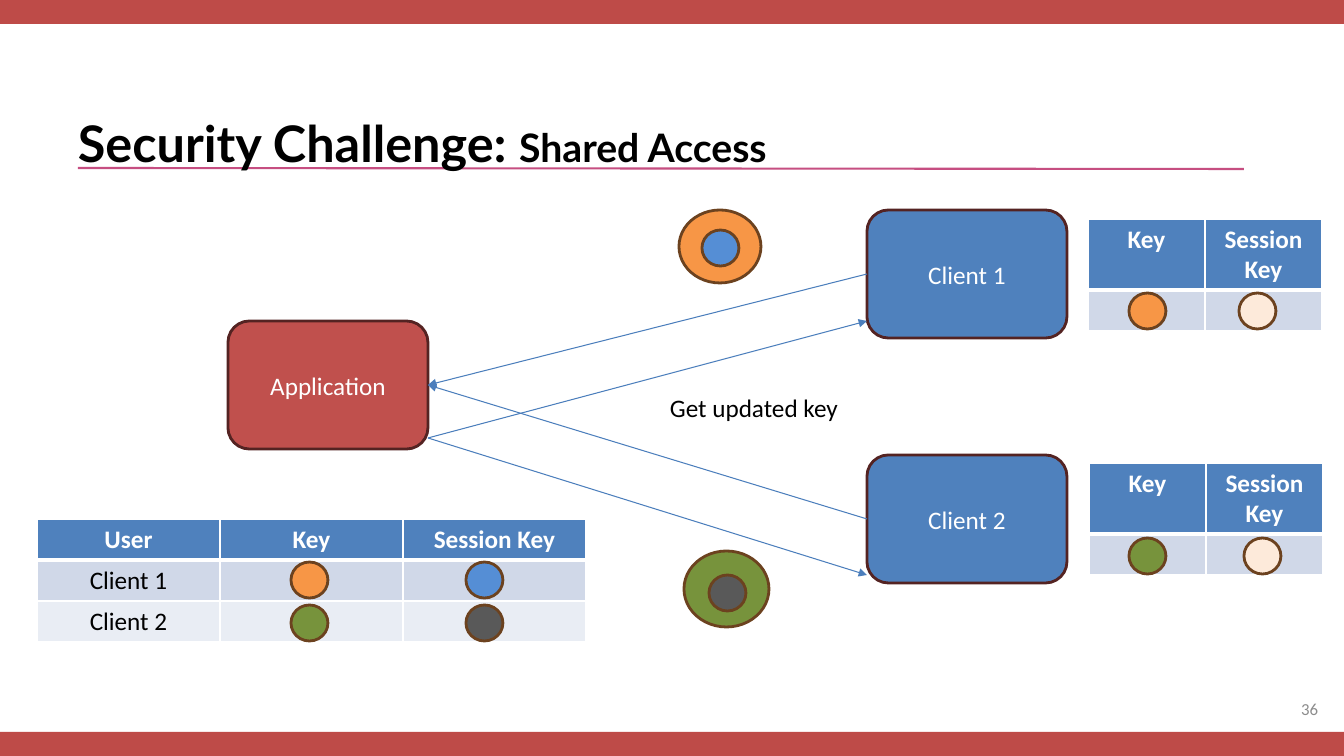
from dataclasses import dataclass

from lxml import etree
from pptx import Presentation
from pptx import util as u
from pptx.dml import color
from pptx.enum import shapes, text
from pptx.oxml import ns

EMU_PER_PX = 914400 / 100.8
COLORS = {
    "white": "FFFFFF", "black": "000000", "gray": "8C8C8C", "band": "BE4B48",
    "rule": "C64E81", "arrow": "4B7EBC", "red": "C0504D", "blue": "4F81BD",
    "box_edge": "542322", "key_edge": "6C421F", "orange": "F79646",
    "green": "77933C", "sky": "558ED5", "charcoal": "595959",
    "cream": "FDEADA", "row_odd": "D0D8E8", "row_even": "E9EDF4",
}
BODY = {"name": "Calibri", "size": u.Pt(18), "bold": False}
HEADER = BODY | {"bold": True}
TITLE = {"name": "Lato", "size": u.Pt(36), "bold": True}
SUBTITLE = TITLE | {"size": u.Pt(28)}
PAGE = BODY | {"size": u.Pt(12)}
SHAPE = shapes.MSO_SHAPE
ALIGN = text.PP_ALIGN
MIDDLE = text.MSO_ANCHOR.MIDDLE


@dataclass
class Box:
    x: int
    y: int
    label: str
    fill: str
    w: int = 200
    h: int = 128


@dataclass
class Key:
    x: int
    y: int
    fill: str
    w: int = 37
    h: int = 36


@dataclass
class KeyTable:
    x: int
    y: int
    col_width: int
    row_heights: list[int]
    rows: list[list[str]]


APPLICATION = Box(228, 321, "Application", "red")
CLIENT_1 = Box(867, 210, "Client 1", "blue")
CLIENT_2 = Box(867, 455, "Client 2", "blue")
CLIENT_ROWS = [["Key", "Session Key"], ["", ""]]
USER_TABLE = KeyTable(37, 519, 183, [41, 41, 41], [
    ["User", "Key", "Session Key"], ["Client 1", "", ""], ["Client 2", "", ""]])
CLIENT_TABLES = [KeyTable(1088, 219, 117, [71, 41], CLIENT_ROWS),
                 KeyTable(1089, 463, 117, [71, 41], CLIENT_ROWS)]
STORED_KEYS = [
    Key(291, 562, "orange"), Key(466, 562, "sky"),
    Key(291, 605, "green"), Key(466, 605, "charcoal"),
    Key(1129, 293, "orange"), Key(1239, 293, "cream"),
    Key(1129, 538, "green"), Key(1244, 538, "cream"),
]
WRAPPED_KEYS = [
    Key(679, 210, "orange", 82, 73), Key(702, 230, "sky"),
    Key(684, 551, "green", 85, 76), Key(709, 575, "charcoal"),
]


def px(length: int) -> u.Emu:
    return u.Emu(round(length * EMU_PER_PX))


def rgb(name: str) -> color.RGBColor:
    return color.RGBColor.from_string(COLORS[name])


def set_values(target, values: dict) -> None:
    for attribute, value in values.items():
        setattr(target, attribute, value)


def write(paragraph, words: str, font: dict, ink: str) -> None:
    run = paragraph.add_run()
    run.text = words
    set_values(run.font, font)
    run.font.color.rgb = rgb(ink)


def add_filled(slide, kind, x: int, y: int, w: int, h: int, fill: str, edge: str = ""):
    """Add a flat preset shape, outlined only when an edge colour is given."""
    shape = slide.shapes.add_shape(kind, px(x), px(y), px(w), px(h))
    shape.shadow.inherit = False
    shape.fill.solid()
    shape.fill.fore_color.rgb = rgb(fill)
    if edge:
        shape.line.color.rgb = rgb(edge)
        shape.line.width = u.Pt(2)
    else:
        shape.line.fill.background()
    return shape


def add_box(slide, box: Box):
    shape = add_filled(slide, SHAPE.ROUNDED_RECTANGLE, box.x, box.y, box.w, box.h,
                       box.fill, "box_edge")
    shape.text_frame.vertical_anchor = MIDDLE
    paragraph = shape.text_frame.paragraphs[0]
    paragraph.alignment = ALIGN.CENTER
    write(paragraph, box.label, BODY, "white")
    return shape


def add_keys(slide, keys: list[Key]) -> None:
    for key in keys:
        add_filled(slide, SHAPE.OVAL, key.x, key.y, key.w, key.h, key.fill, "key_edge")


def add_line(slide, start: tuple[int, int], end: tuple[int, int], ink: str,
             width: float, arrow: bool = False):
    line = slide.shapes.add_connector(shapes.MSO_CONNECTOR.STRAIGHT,
                                      *map(px, start), *map(px, end))
    line.line.color.rgb = rgb(ink)
    line.line.width = u.Pt(width)
    properties = line._element.spPr
    if arrow:
        etree.SubElement(properties.find(ns.qn("a:ln")), ns.qn("a:tailEnd"), type="triangle")
    etree.SubElement(properties, ns.qn("a:effectLst"))
    return line


def add_text(slide, x: int, y: int, w: int, h: int, runs: list[tuple[str, dict]],
             ink: str, frame: dict, paragraph_format: dict) -> None:
    text_frame = slide.shapes.add_textbox(px(x), px(y), px(w), px(h)).text_frame
    set_values(text_frame, {"word_wrap": True} | frame)
    paragraph = text_frame.paragraphs[0]
    set_values(paragraph, paragraph_format)
    for words, font in runs:
        write(paragraph, words, font, ink)


def set_borders(cell, widths: dict[str, int]) -> None:
    """Put white borders, in points, ahead of the cell's fill."""
    properties = cell._tc.get_or_add_tcPr()
    for index, (side, width) in enumerate(widths.items()):
        border = etree.Element(ns.qn(f"a:ln{side}"), w=str(u.Pt(width)))
        fill = etree.SubElement(border, ns.qn("a:solidFill"))
        etree.SubElement(fill, ns.qn("a:srgbClr"), val=COLORS["white"])
        properties.insert(index, border)


def add_key_table(slide, data: KeyTable) -> None:
    columns = len(data.rows[0])
    table = slide.shapes.add_table(
        len(data.rows), columns, px(data.x), px(data.y),
        px(columns * data.col_width), px(sum(data.row_heights))).table
    set_values(table, {"first_row": False, "horz_banding": False})
    for column in table.columns:
        column.width = px(data.col_width)
    for r, (height, row) in enumerate(zip(data.row_heights, data.rows)):
        table.rows[r].height = px(height)
        header = r == 0
        fill = "blue" if header else "row_odd" if r % 2 else "row_even"
        for c, words in enumerate(row):
            cell = table.cell(r, c)
            cell.fill.solid()
            cell.fill.fore_color.rgb = rgb(fill)
            set_borders(cell, {"L": 1, "R": 1, "T": 3 if r == 1 else 1, "B": 3 if header else 1})
            paragraph = cell.text_frame.paragraphs[0]
            paragraph.alignment = ALIGN.CENTER
            if words:
                write(paragraph, words, HEADER if header else BODY,
                      "white" if header else "black")


def main() -> None:
    deck = Presentation()
    set_values(deck, {"slide_width": px(1344), "slide_height": px(756)})
    slide = deck.slides.add_slide(deck.slide_layouts[6])

    add_line(slide, (78, 168), (1244, 169), "rule", 1.5)
    for band_top in (0, 732):
        add_filled(slide, SHAPE.RECTANGLE, 0, band_top, 1344, 24, "band")
    no_margins = dict.fromkeys(
        ("margin_left", "margin_top", "margin_right", "margin_bottom"), 0)
    add_text(slide, 78, 82, 1166, 170,
             [("Security Challenge: ", TITLE), ("Shared Access", SUBTITLE)],
             "black", no_margins, {"line_spacing": 1.5})

    application, *clients = [add_box(slide, box) for box in (APPLICATION, CLIENT_1, CLIENT_2)]
    for key_table in (USER_TABLE, *CLIENT_TABLES):
        add_key_table(slide, key_table)
    add_keys(slide, STORED_KEYS)

    for client in clients:
        request = add_line(slide, (867, 274), (428, 385), "arrow", 0.75, arrow=True)
        request.begin_connect(client, 1)
        request.end_connect(application, 3)
    for reply_y in (575, 321):
        add_line(slide, (428, 438), (867, reply_y), "arrow", 0.75, arrow=True)
    add_text(slide, 660, 387, 331, 40, [("Get updated key", BODY)], "black", {}, {})
    add_keys(slide, WRAPPED_KEYS)
    add_text(slide, 1026, 689, 302, 40, [("36", PAGE)], "gray",
             {"vertical_anchor": MIDDLE}, {"alignment": ALIGN.RIGHT})
    deck.save("out.pptx")


if __name__ == "__main__":
    main()
